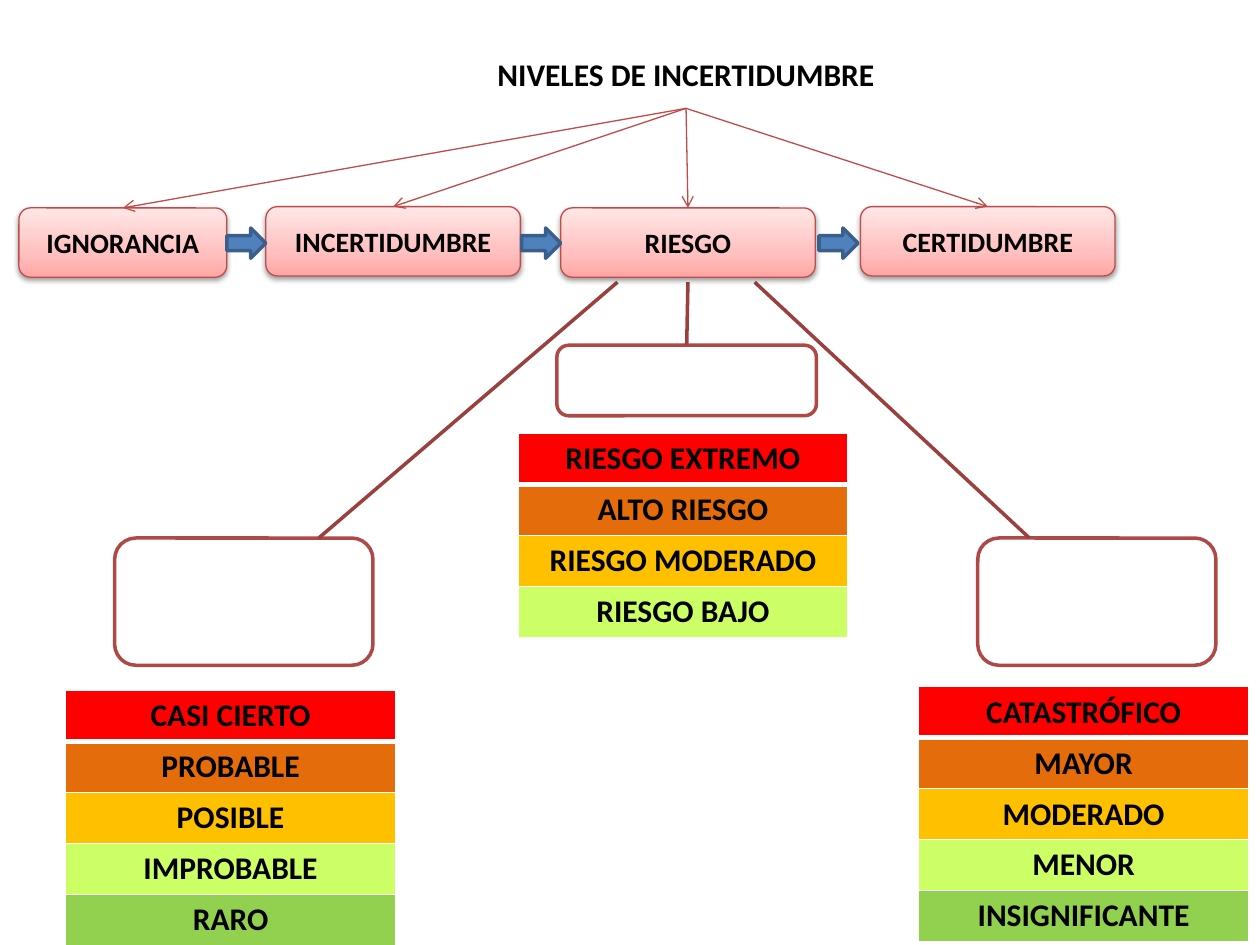
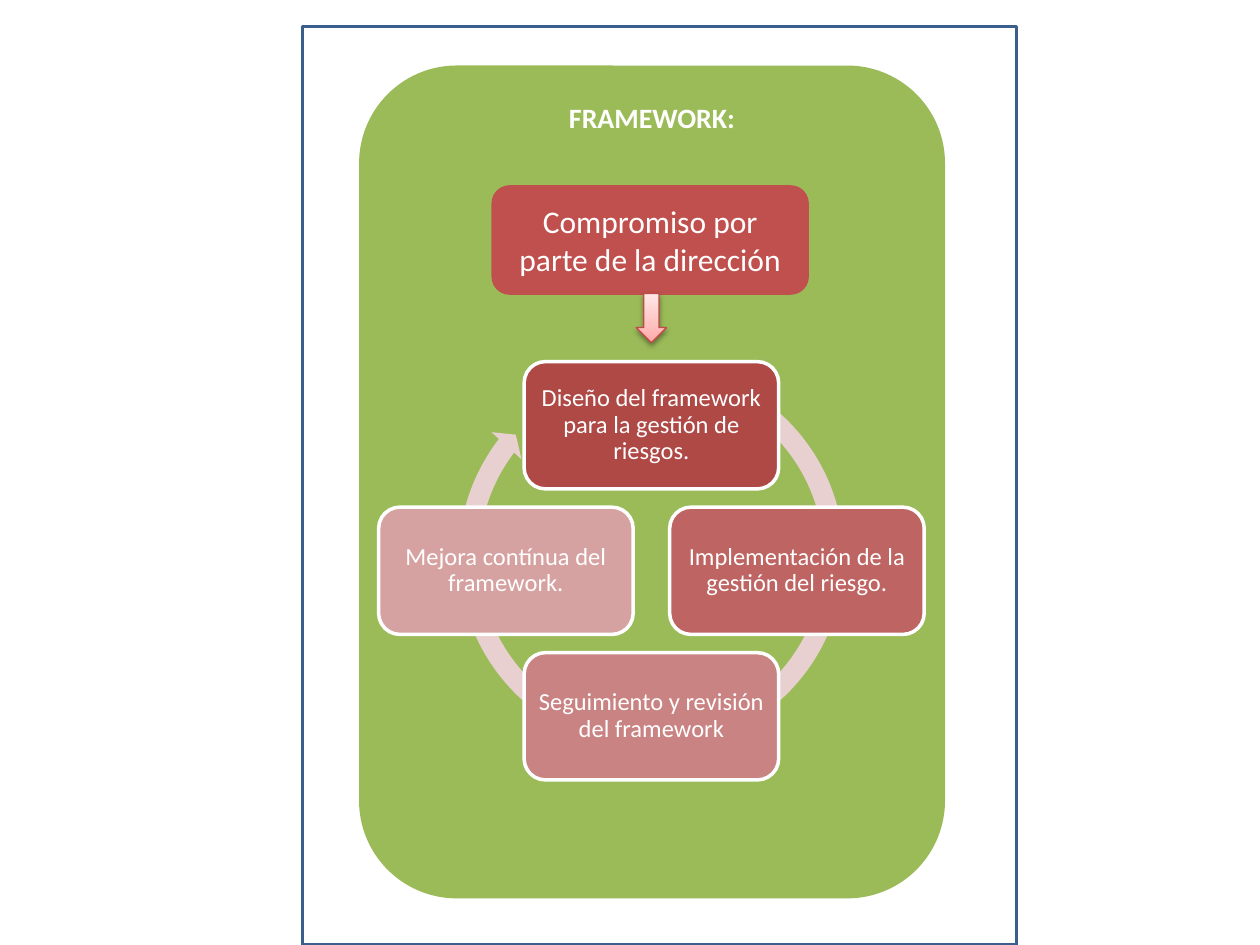
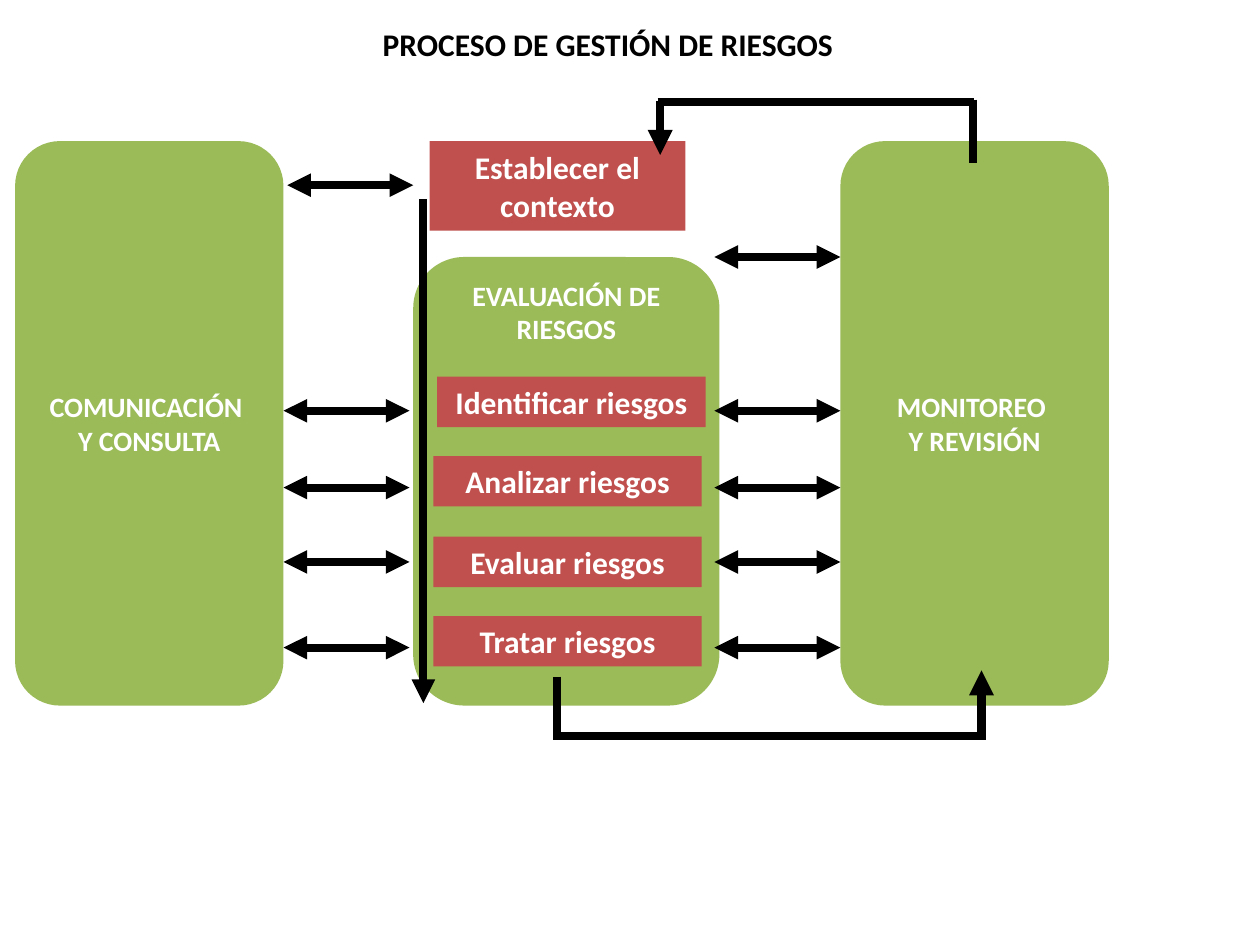
import math

import pptx
import pptx.dml.color
import pptx.enum.shapes
import pptx.enum.text
import pptx.oxml
import pptx.oxml.ns
import pptx.util

RGBColor = pptx.dml.color.RGBColor
Shape = pptx.enum.shapes.MSO_SHAPE
Anchor = pptx.enum.text.MSO_ANCHOR

BLACK = RGBColor(0x00, 0x00, 0x00)
WHITE = RGBColor(0xFF, 0xFF, 0xFF)
GREEN = RGBColor(0x9B, 0xBB, 0x59)
RED = RGBColor(0xC0, 0x50, 0x4D)
BLUE = RGBColor(0x4F, 0x81, 0xBD)
NAVY = RGBColor(0x3A, 0x5F, 0x8C)
ROSE_LINE = RGBColor(0xBF, 0x4C, 0x48)
BRANCH_LINE = RGBColor(0x9A, 0x40, 0x3E)
BRICK = RGBColor(0xAE, 0x49, 0x46)
CYCLE_RING = RGBColor(0xE8, 0xD0, 0xD0)
CYCLE_FILLS = (BRICK, RGBColor(0xBE, 0x64, 0x62),
               RGBColor(0xC9, 0x83, 0x82), RGBColor(0xD6, 0xA2, 0xA1))
SCALE_FILLS = (RGBColor(0xFF, 0x00, 0x00), RGBColor(0xE4, 0x6C, 0x0A),
               RGBColor(0xFF, 0xC0, 0x00), RGBColor(0xCC, 0xFF, 0x66),
               RGBColor(0x92, 0xD0, 0x50))
ROSE_STOPS = ((0, "FFA6A5"), (35, "FFC0BF"), (100, "FFE7E7"))

COLUMNS, ROWS = 100, 75
CELL = pptx.util.Inches(0.1)
TOP, BOTTOM = 0, 2


def grid(*lengths):
    return [round(length * CELL) for length in lengths]


def xml(tag, body="", **attributes):
    pairs = " ".join(f'{name}="{value}"' for name, value in attributes.items())
    return pptx.oxml.parse_xml(
        f'<a:{tag} {pptx.oxml.ns.nsdecls("a")} {pairs}>{body}</a:{tag}>')


def write(frame, text, size=16, color=BLACK, bold=True, anchor=Anchor.MIDDLE,
          spacing=1.0, margin=None):
    frame.word_wrap = True
    frame.vertical_anchor = anchor
    if margin is not None:
        (frame.margin_left, frame.margin_right,
         frame.margin_top, frame.margin_bottom) = grid(*[margin] * 4)
    for index, words in enumerate(text.split("\n")):
        para = frame.add_paragraph() if index else frame.paragraphs[0]
        para.alignment = pptx.enum.text.PP_ALIGN.CENTER
        para.line_spacing = spacing
        span = para.add_run()
        span.text = words
        span.font.name = "Calibri"
        span.font.size = pptx.util.Pt(size)
        span.font.bold = bold
        span.font.color.rgb = color


class Painter:
    def __init__(self):
        self.deck = pptx.Presentation()
        self.deck.slide_width, self.deck.slide_height = grid(COLUMNS, ROWS)
        self.page = None

    def new_page(self):
        self.page = self.deck.slides.add_slide(self.deck.slide_layouts[6])

    def label(self, place, text, **style):
        box = self.page.shapes.add_textbox(*grid(*place))
        write(box.text_frame, text, **style)
        return box

    def shape(self, place, kind=Shape.ROUNDED_RECTANGLE, fill=WHITE, line=None,
              width=2, text="", **style):
        box = self.page.shapes.add_shape(kind, *grid(*place))
        box.shadow.inherit = False
        box.fill.solid()
        box.fill.fore_color.rgb = fill
        if line is None:
            box.line.fill.background()
        else:
            box.line.color.rgb = line
            box.line.width = pptx.util.Pt(width)
        if text:
            write(box.text_frame, text, **style)
        return box

    def rose_shape(self, place, **style):
        box = self.shape(place, line=ROSE_LINE, width=0.75, **style)
        properties = box.element.spPr
        stops = "".join(f'<a:gs pos="{share * 1000}"><a:srgbClr val="{color}"/></a:gs>'
                        for share, color in ROSE_STOPS)
        gradient = xml("gradFill", f'<a:gsLst>{stops}</a:gsLst><a:lin ang="16200000"/>',
                       rotWithShape=1)
        solid = properties.find(pptx.oxml.ns.qn("a:solidFill"))
        properties.replace(solid, gradient)
        shadow = xml("outerShdw",
                     '<a:srgbClr val="000000"><a:alpha val="38000"/></a:srgbClr>',
                     blurRad=pptx.util.Pt(3.1), dist=pptx.util.Pt(1.6),
                     dir=5400000, rotWithShape=0)
        properties.find(pptx.oxml.ns.qn("a:effectLst")).append(shadow)
        return box

    def line(self, start, end, color=BLACK, width=4.5, head=None, tail=None,
             begin=None, finish=None):
        connector = self.page.shapes.add_connector(
            pptx.enum.shapes.MSO_CONNECTOR.STRAIGHT, *grid(*start, *end))
        connector.line.color.rgb = color
        connector.line.width = pptx.util.Pt(width)
        properties = connector.element.spPr
        outline = properties.find(pptx.oxml.ns.qn("a:ln"))
        for tag, kind in (("headEnd", head), ("tailEnd", tail)):
            if kind:
                outline.append(xml(tag, type=kind))
        properties.append(xml("effectLst"))
        if begin:
            connector.begin_connect(begin, BOTTOM)
        if finish:
            connector.end_connect(finish, TOP)

    def scale_table(self, left, top, names, width=26.2, height=4.05):
        frame = self.page.shapes.add_table(
            len(names), 1, *grid(left, top, width, height * len(names)))
        table = frame.table
        table.first_row = table.horz_banding = False
        for index, (name, fill) in enumerate(zip(names, SCALE_FILLS)):
            cell = table.cell(index, 0)
            cell.fill.solid()
            cell.fill.fore_color.rgb = fill
            write(cell.text_frame, name, size=18)
            cell.vertical_anchor = Anchor.TOP
        for index, cell in enumerate(frame.element.iter(pptx.oxml.ns.qn("a:tc"))):
            properties = cell.get_or_add_tcPr()
            for order, side in enumerate("LRTB"):
                thick = (index, side) in ((0, "B"), (1, "T"))
                border = xml(f"ln{side}",
                             f'<a:solidFill><a:srgbClr val="{WHITE}"/></a:solidFill>',
                             w=pptx.util.Pt(3 if thick else 1))
                properties.insert(order, border)


def uncertainty_levels(painter):
    painter.new_page()
    title = painter.label((36.8, 3.5, 35.3, 5.1), "NIVELES DE INCERTIDUMBRE",
                          size=18, spacing=0.9, margin=0.4)
    branches = (
        ((54.6, 22.4), (54.5, 27.4), (44.2, 27.4, 20.6, 5.6)),
        ((59.9, 22.4), (81.7, 42.7), (77.6, 42.7, 18.9, 10.1)),
        ((49, 22.4), (25.3, 42.7), (9.1, 42.7, 20.5, 10.1)),
    )
    for start, end, place in branches:
        box = painter.shape(place, line=BRICK)
        centred = abs(place[0] + place[2] / 2 - end[0]) < 0.1
        painter.line(start, end, BRANCH_LINE, 2, finish=box if centred else None)

    painter.scale_table(5.2, 54.8, ("CASI CIERTO", "PROBABLE", "POSIBLE",
                                    "IMPROBABLE", "RARO"))
    painter.scale_table(72.9, 54.5, ("CATASTRÓFICO", "MAYOR", "MODERADO",
                                     "MENOR", "INSIGNIFICANTE"))
    painter.scale_table(41.1, 34.4, ("RIESGO EXTREMO", "ALTO RIESGO",
                                     "RIESGO MODERADO", "RIESGO BAJO"))

    levels = (("IGNORANCIA", 1.5, 16.5, 16.5), ("INCERTIDUMBRE", 21.1, 16.4, 20.2),
              ("RIESGO", 44.5, 16.5, 20.2), ("CERTIDUMBRE", 68.3, 16.4, 20.2))
    for name, left, top, width in levels:
        box = painter.rose_shape((left, top, width, 5.5), text=name)
        painter.line((54.4, 8.5), (left + width / 2, top), ROSE_LINE, 0.75,
                     tail="arrow", begin=title, finish=box)
    for left in (18, 41.4, 65):
        painter.shape((left, 18.1, 3.1, 2.4), Shape.RIGHT_ARROW, BLUE, NAVY)


def framework(painter):
    painter.new_page()
    painter.shape((24, 2.1, 56.7, 72.9), Shape.RECTANGLE, line=NAVY)
    painter.shape((28.5, 5.2, 46.5, 66.1), fill=GREEN, text="FRAMEWORK:",
                  color=WHITE, anchor=Anchor.TOP)
    ring = painter.shape((35.6, 28.1, 32.2, 32.2), Shape.CIRCULAR_ARROW, CYCLE_RING)
    for index, value in enumerate((0.05, 2.73, 130.49, 178.84, 0.05)):
        ring.adjustments[index] = value

    steps = ("Diseño del framework para la gestión de riesgos.",
             "Implementación de la gestión del riesgo.",
             "Seguimiento y revisión del framework",
             "Mejora contínua del framework.")
    width, height, radius = 20.2, 10.1, 11.55
    for index, (step, fill) in enumerate(zip(steps, CYCLE_FILLS)):
        angle = index * math.tau / len(steps)
        left = 51.7 + radius * math.sin(angle) - width / 2
        top = 45.3 - radius * math.cos(angle) - height / 2
        painter.shape((left, top, width, height), fill=fill, line=WHITE, text=step,
                      size=14, color=WHITE, bold=False, spacing=0.9, margin=0.6)

    painter.shape((39, 14.7, 25.2, 8.7), fill=RED, size=18, color=WHITE, bold=False,
                  text="Compromiso por parte de la dirección")
    painter.rose_shape((50.5, 23.3, 2.4, 3.9), kind=Shape.DOWN_ARROW)


def risk_process(painter):
    painter.new_page()
    painter.label((14.9, 1.5, 66.7, 4), "PROCESO DE GESTIÓN DE RIESGOS", size=18)
    for left, name in ((1.2, "COMUNICACIÓN \nY CONSULTA"),
                       (66.7, "MONITOREO \nY REVISIÓN")):
        painter.shape((left, 11.2, 21.3, 44.8), fill=GREEN, text=name, color=WHITE)
    painter.shape((32.8, 20.4, 24.3, 35.6), fill=GREEN, text="EVALUACIÓN DE RIESGOS",
                  color=WHITE, anchor=Anchor.TOP)

    stages = (("Establecer el contexto", 34.1, 11.2, 20.3, 7.1),
              ("Identificar riesgos", 34.7, 29.9, 21.3, 4),
              ("Analizar riesgos", 34.4, 36.2, 21.3, 4),
              ("Evaluar riesgos", 34.4, 42.6, 21.3, 4),
              ("Tratar riesgos", 34.4, 48.9, 21.3, 4))
    for name, *place in stages:
        painter.shape(place, Shape.RECTANGLE, RED, text=name, size=18, color=WHITE)

    exchange_rows = (32.6, 38.7, 44.6, 51.4)
    exchanges = [(left, row) for left in (22.5, 56.7) for row in exchange_rows]
    for left, row in exchanges + [(22.8, 14.7), (56.7, 20.4)]:
        painter.line((left, row), (left + 10, row), head="triangle", tail="triangle")

    for start, end in (((44.2, 53.7), (44.2, 58.7)), ((44, 58.4), (78.2, 58.4)),
                       ((52.2, 8.1), (77.3, 8.1)), ((77.2, 7.9), (77.2, 12.9))):
        painter.line(start, end)
    for start, end, width in (((33.6, 15.8), (33.6, 55.8), 4.5),
                              ((52.4, 8), (52.4, 12.3), 4.75),
                              ((77.9, 58.7), (77.9, 53.2), 4.75)):
        painter.line(start, end, width=width, tail="triangle")


def main():
    painter = Painter()
    uncertainty_levels(painter)
    framework(painter)
    risk_process(painter)
    painter.deck.save("out.pptx")


if __name__ == "__main__":
    main()
